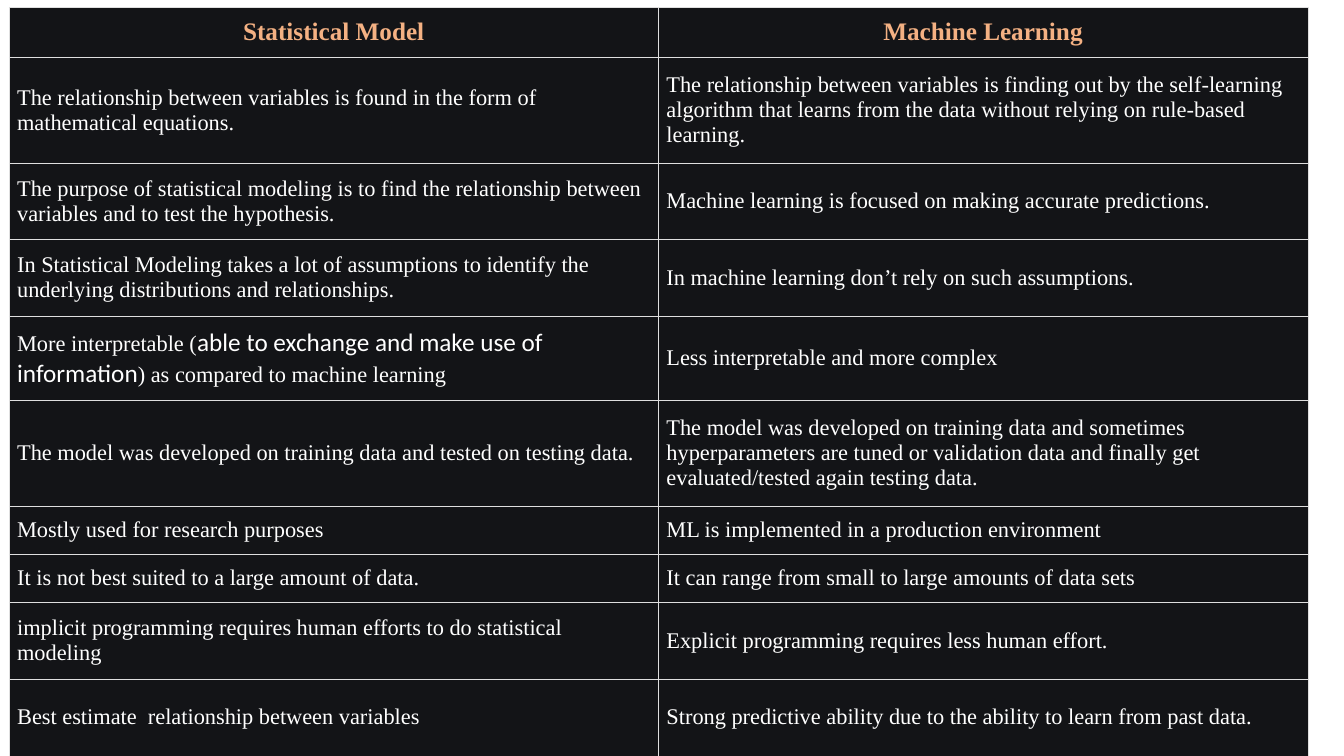
from lxml.etree import SubElement
from pptx import Presentation
from pptx.dml.color import RGBColor
from pptx.enum.text import MSO_ANCHOR, PP_ALIGN
from pptx.oxml.ns import qn
from pptx.util import Inches, Pt

COLORS = {"cell": "131417", "header": "F4B183", "text": "FFFFFF", "border": "DFDFDF"}

HEADER = {"size": Pt(18), "name": "Times New Roman", "bold": True}
BODY = {"size": Pt(16), "name": "Times New Roman", "bold": False}
ASIDE = {"size": Pt(18), "name": "Calibri", "bold": False}

CELL_FORMAT = {
    "vertical_anchor": MSO_ANCHOR.MIDDLE,
    "margin_left": Inches(0.08),
    "margin_right": Inches(0.08),
    "margin_top": Inches(0.11),
    "margin_bottom": Inches(0.11),
}

COLUMN_WIDTH = 6.44
ROW_HEIGHTS = [0.48, 1.05, 0.76, 0.76, 0.82, 1.05, 0.48, 0.48, 0.76, 0.76]

# A cell is a string, or a list of (text, format) runs
ROWS = [
    ("Statistical Model", "Machine Learning"),
    ("The relationship between variables is found in the form of mathematical equations.",
     "The relationship between variables is finding out by the self-learning algorithm "
     "that learns from the data without relying on rule-based learning."),
    ("The purpose of statistical modeling is to find the relationship between variables "
     "and to test the hypothesis.",
     "Machine learning is focused on making accurate predictions."),
    ("In Statistical Modeling takes a lot of assumptions to identify the underlying "
     "distributions and relationships.",
     "In machine learning don’t rely on such assumptions."),
    ([("More interpretable (", BODY),
      ("able to exchange and make use of information", ASIDE),
      (") as compared to machine learning", BODY)],
     "Less interpretable and more complex"),
    ("The model was developed on training data and tested on testing data.",
     "The model was developed on training data and sometimes hyperparameters are tuned "
     "or validation data and finally get evaluated/tested again testing data."),
    ("Mostly used for research purposes",
     "ML is implemented in a production environment"),
    ("It is not best suited to a large amount of data.",
     "It can range from small to large amounts of data sets"),
    ("implicit programming requires human efforts to do statistical modeling",
     "Explicit programming requires less human effort."),
    ("Best estimate  relationship between variables",
     "Strong predictive ability due to the ability to learn from past data."),
]


def set_attrs(obj, values):
    for name, value in values.items():
        setattr(obj, name, value)


def add_run(p, text, font, color):
    r = p.add_run()
    r.text = text
    set_attrs(r.font, font)
    r.font.color.rgb = RGBColor.from_string(COLORS[color])


def add_borders(cell):
    """Draw the four cell edges; they must precede the fill in the XML."""
    tc_pr = cell._tc.get_or_add_tcPr()
    for i, side in enumerate(("lnL", "lnR", "lnT", "lnB")):
        ln = SubElement(tc_pr, qn(f"a:{side}"), w=str(Pt(0.18)))
        fill = SubElement(ln, qn("a:solidFill"))
        SubElement(fill, qn("a:srgbClr"), val=COLORS["border"])
        tc_pr.insert(i, ln)


def fill_cell(cell, content, is_header):
    set_attrs(cell, CELL_FORMAT)
    cell.fill.solid()
    cell.fill.fore_color.rgb = RGBColor.from_string(COLORS["cell"])
    add_borders(cell)
    p = cell.text_frame.paragraphs[0]
    p.alignment = PP_ALIGN.CENTER if is_header else PP_ALIGN.LEFT
    font, color = (HEADER, "header") if is_header else (BODY, "text")
    runs = [(content, font)] if isinstance(content, str) else content
    for text, run_font in runs:
        add_run(p, text, run_font, color)


def add_comparison_table(slide):
    frame = slide.shapes.add_table(
        len(ROWS), 2, Inches(0.09), Inches(0.07),
        Inches(2 * COLUMN_WIDTH), Inches(sum(ROW_HEIGHTS)))
    table = frame.table
    table.horz_banding = False
    for column in table.columns:
        column.width = Inches(COLUMN_WIDTH)
    for i, (height, contents) in enumerate(zip(ROW_HEIGHTS, ROWS)):
        table.rows[i].height = Inches(height)
        for j, content in enumerate(contents):
            fill_cell(table.cell(i, j), content, is_header=i == 0)


def main():
    prs = Presentation()
    prs.slide_width, prs.slide_height = Inches(13.33), Inches(7.5)
    slide = prs.slides.add_slide(prs.slide_layouts[6])  # blank layout
    add_comparison_table(slide)
    prs.save("out.pptx")


if __name__ == "__main__":
    main()
